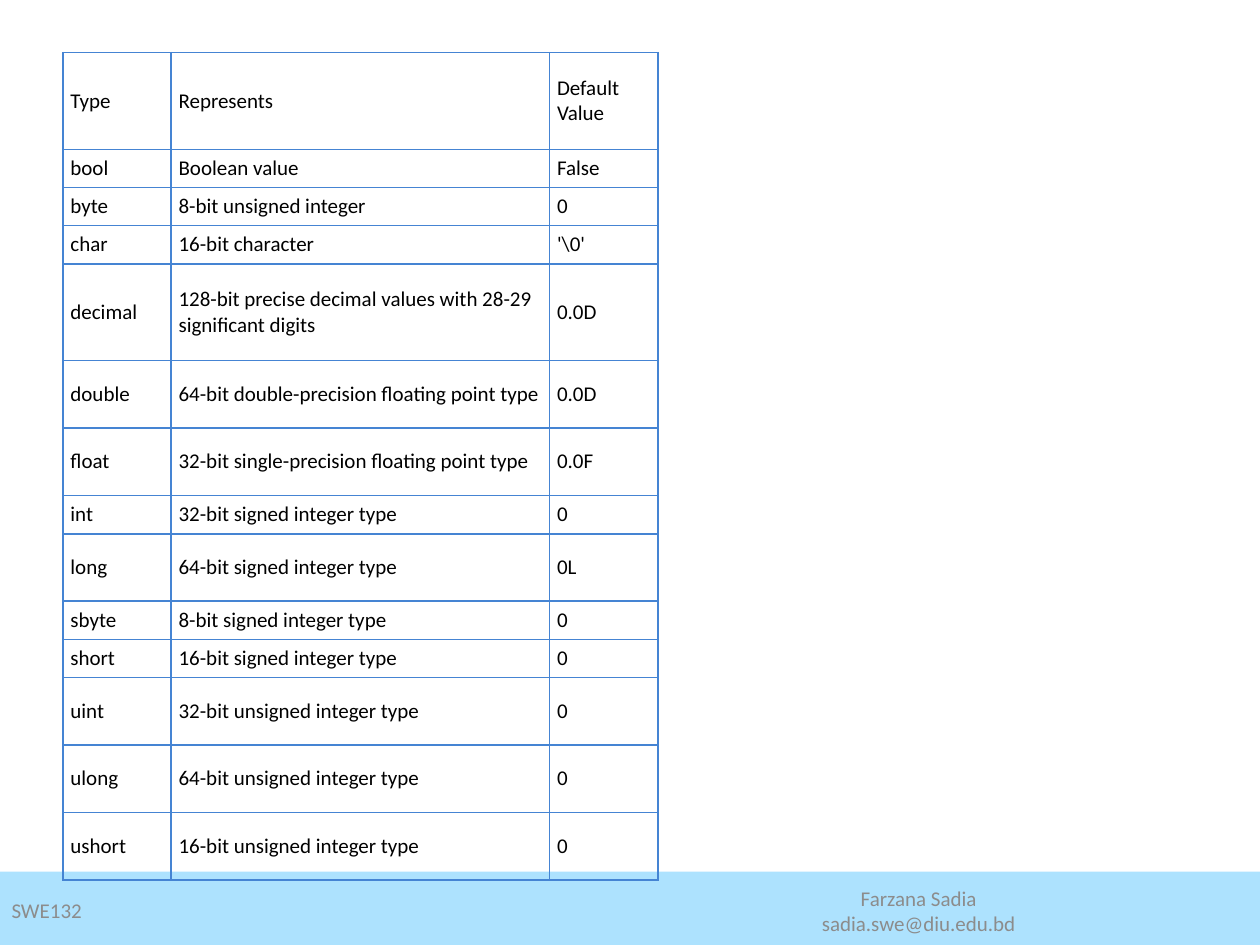
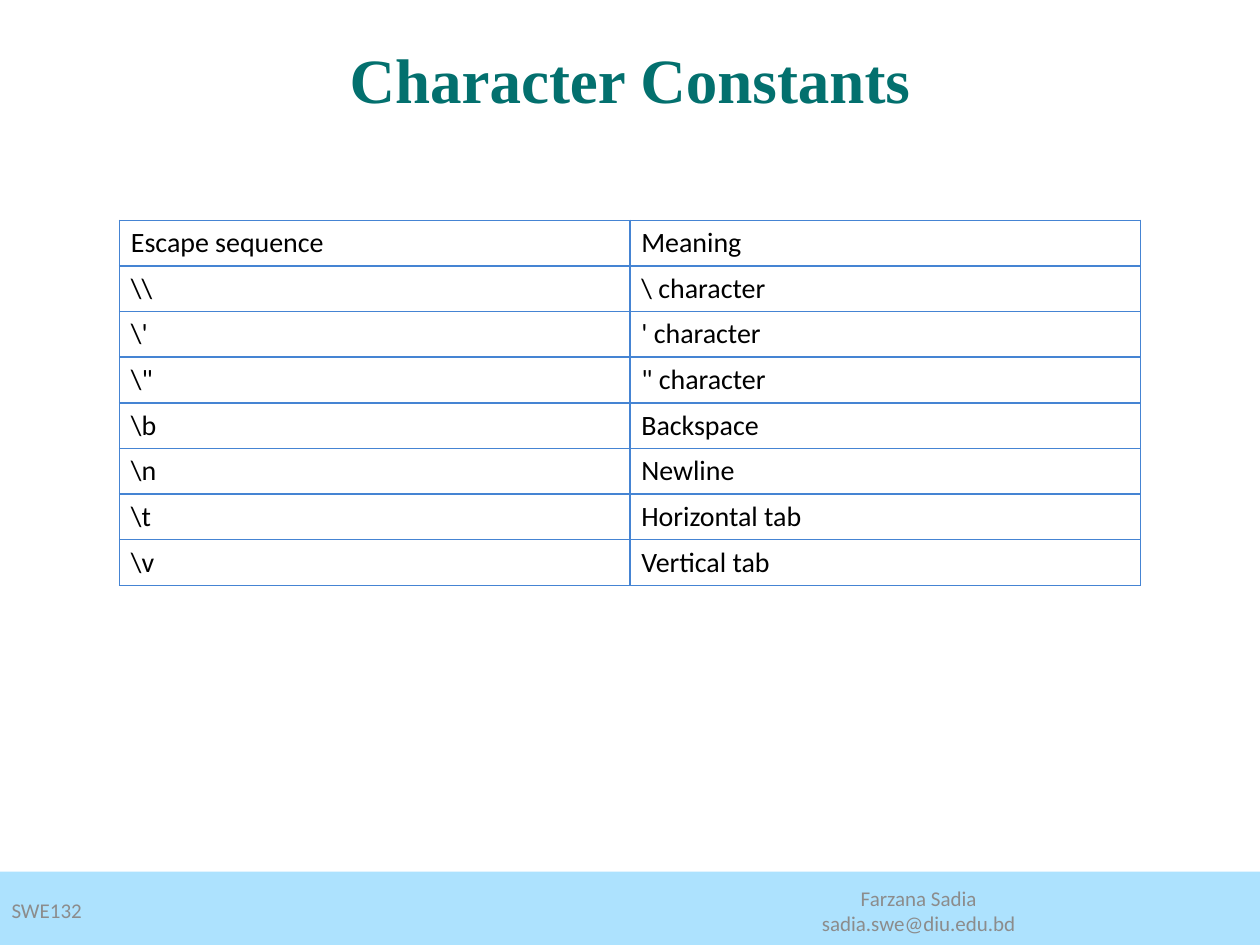
import pptx
import pptx.dml.color
import pptx.enum.shapes
import pptx.enum.text
import pptx.oxml
import pptx.oxml.ns
import pptx.util
from pptx.util import Cm

ALIGN = pptx.enum.text.PP_ALIGN
MIDDLE = pptx.enum.text.MSO_ANCHOR.MIDDLE

HEADER, SINGLE, TALL = 1.95, 0.77, 1.36

DATA_TYPES = [
    (HEADER, "Type", "Represents", "Default Value"),
    (SINGLE, "bool", "Boolean value", "False"),
    (SINGLE, "byte", "8-bit unsigned integer", "0"),
    (SINGLE, "char", "16-bit character", r"'\0'"),
    (HEADER, "decimal", "128-bit precise decimal values with 28-29 significant digits", "0.0D"),
    (TALL, "double", "64-bit double-precision floating point type", "0.0D"),
    (TALL, "float", "32-bit single-precision floating point type", "0.0F"),
    (SINGLE, "int", "32-bit signed integer type", "0"),
    (TALL, "long", "64-bit signed integer type", "0L"),
    (SINGLE, "sbyte", "8-bit signed integer type", "0"),
    (SINGLE, "short", "16-bit signed integer type", "0"),
    (TALL, "uint", "32-bit unsigned integer type", "0"),
    (TALL, "ulong", "64-bit unsigned integer type", "0"),
    (TALL, "ushort", "16-bit unsigned integer type", "0"),
]

ESCAPE_SEQUENCES = [
    ("Escape sequence", "Meaning"),
    (r"\\", r"\ character"),
    (r"\'", "' character"),
    (r'\"', '" character'),
    (r"\b", "Backspace"),
    (r"\n", "Newline"),
    (r"\t", "Horizontal tab"),
    (r"\v", "Vertical tab"),
]


def rgb(color):
    return pptx.dml.color.RGBColor.from_string(color)


def write_text(frame, text, size=12, color="000000", font="Calibri", bold=False, align=ALIGN.LEFT):
    frame.word_wrap = True
    for index, line in enumerate(text.split("\n")):
        paragraph = frame.add_paragraph() if index else frame.paragraphs[0]
        paragraph.alignment = align
        run = paragraph.add_run()
        run.text = line
        run.font.size = pptx.util.Pt(size)
        run.font.name = font
        run.font.bold = bold
        run.font.color.rgb = rgb(color)


def outline_cell(cell, color):
    properties = cell._tc.get_or_add_tcPr()
    for position, side in enumerate(("lnL", "lnR", "lnT", "lnB")):
        properties.insert(position, pptx.oxml.parse_xml(
            f'<a:{side} {pptx.oxml.ns.nsdecls("a")} w="12700"><a:solidFill>'
            f'<a:srgbClr val="{color}"/></a:solidFill></a:{side}>'))


class Deck:
    BAND = "ADE2FE"
    GRID = "4584D3"
    FOOTER = "8C8C8C"
    TITLE = "03706E"

    def __init__(self):
        self.presentation = pptx.Presentation()
        self.presentation.slide_width = Cm(25.4)
        self.presentation.slide_height = Cm(19.05)
        self.slide = None

    def start_slide(self):
        self.slide = self.presentation.slides.add_slide(self.presentation.slide_layouts[6])
        self.band(17.57, 1.48)
        self.text_box("Farzana Sadia\nsadia.swe@diu.edu.bd", 16.08, 17.88, 4.88, 0.97,
                      color=self.FOOTER, align=ALIGN.CENTER)
        self.text_box("SWE132", -0.2, 17.83, 2.1, 1.02, color=self.FOOTER, align=ALIGN.RIGHT)

    def band(self, top, height):
        band = self.slide.shapes.add_shape(
            pptx.enum.shapes.MSO_SHAPE.RECTANGLE, 0, Cm(top),
            self.presentation.slide_width, Cm(height))
        band.shadow.inherit = False
        band.fill.solid()
        band.fill.fore_color.rgb = rgb(self.BAND)
        band.line.fill.background()

    def text_box(self, text, left, top, width, height, **style):
        frame = self.slide.shapes.add_textbox(Cm(left), Cm(top), Cm(width), Cm(height)).text_frame
        frame.vertical_anchor = MIDDLE
        write_text(frame, text, **style)

    def title(self, text):
        self.text_box(text, 1.27, 0.67, 22.86, 1.8, size=36, color=self.TITLE,
                      font="Times New Roman", bold=True, align=ALIGN.CENTER)

    def table(self, rows, left, top, widths, heights, inset_x, inset_y, **style):
        table = self.slide.shapes.add_table(
            len(rows), len(widths), Cm(left), Cm(top), Cm(sum(widths)), Cm(sum(heights))).table
        table.first_row = table.horz_banding = False
        for column, width in zip(table.columns, widths):
            column.width = Cm(width)
        for row, height, texts in zip(table.rows, heights, rows):
            row.height = Cm(height)
            for cell, text in zip(row.cells, texts):
                cell.fill.background()
                cell.vertical_anchor = MIDDLE
                cell.margin_left = cell.margin_right = Cm(inset_x)
                cell.margin_top = cell.margin_bottom = Cm(inset_y)
                write_text(cell.text_frame, text, **style)
                outline_cell(cell, self.GRID)


def main():
    deck = Deck()

    deck.start_slide()
    deck.table([texts for _, *texts in DATA_TYPES], 1.27, 1.06, [2.18, 7.63, 2.18],
               [height for height, *_ in DATA_TYPES], 0.15, 0.08)

    deck.start_slide()
    deck.title("Character Constants")
    deck.table(ESCAPE_SEQUENCES, 2.41, 4.44, [10.29] * 2, [0.92] * len(ESCAPE_SEQUENCES),
               0.23, 0.1, size=16)

    deck.presentation.save("out.pptx")


if __name__ == "__main__":
    main()
